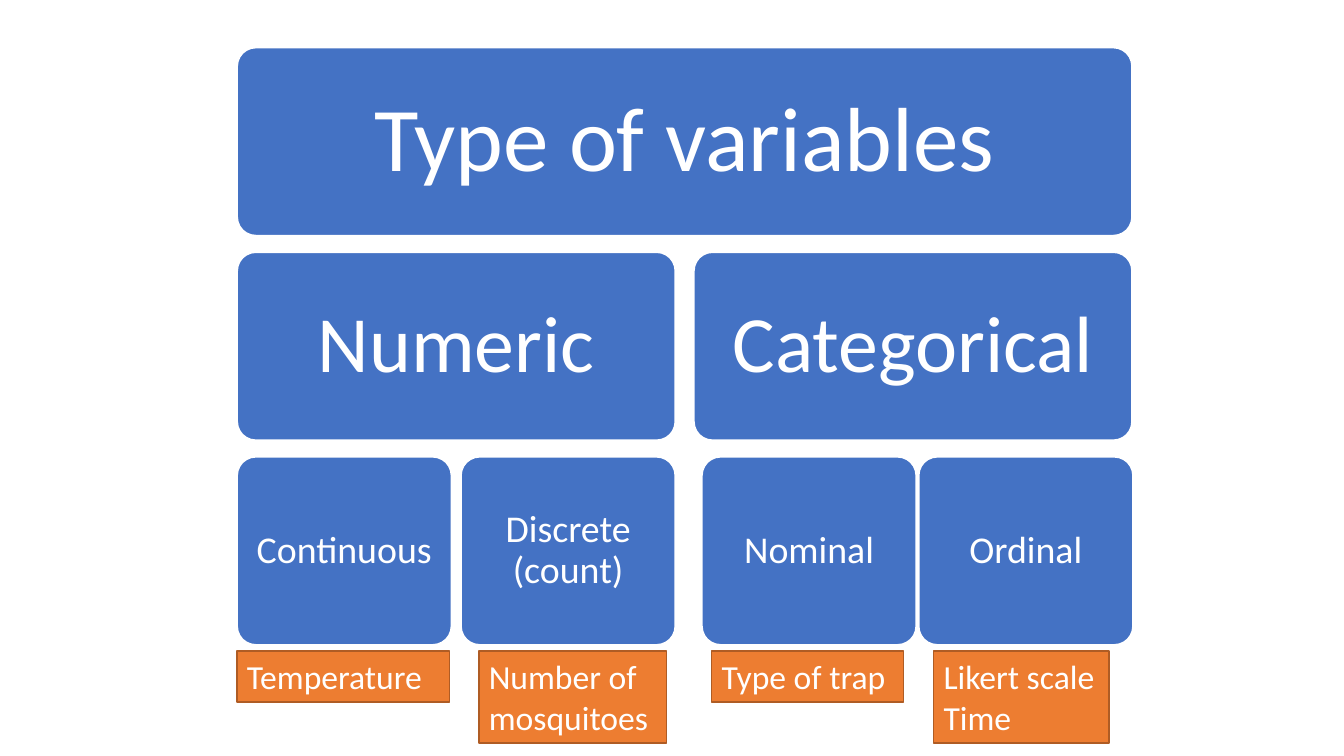
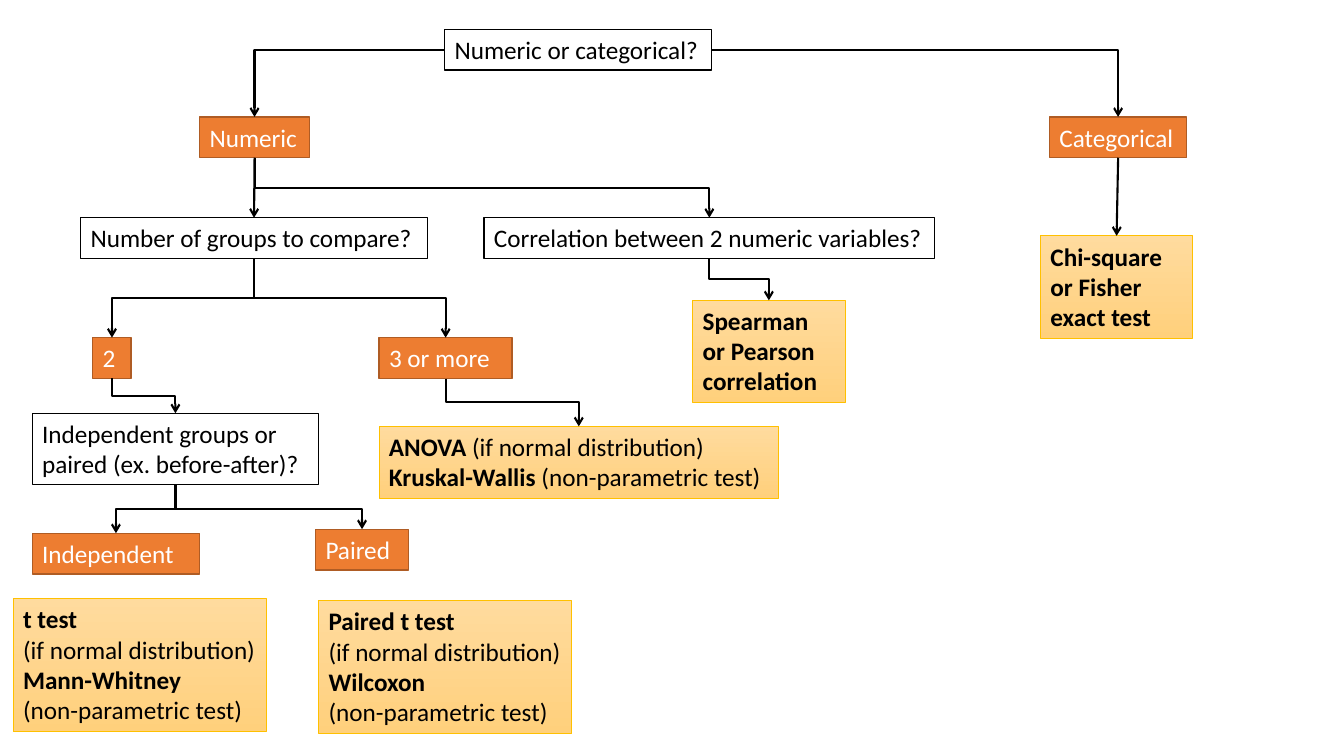
from dataclasses import dataclass

from lxml import etree
from pptx import Presentation
from pptx.dml.color import RGBColor
from pptx.enum.shapes import MSO_CONNECTOR as Link, MSO_SHAPE as Preset
from pptx.enum.text import MSO_ANCHOR as Anchor, MSO_AUTO_SIZE as AutoSize, PP_ALIGN as Align
from pptx.oxml.ns import qn
from pptx.util import Inches, Pt


@dataclass(frozen=True)
class Theme:
    font: str = "Calibri"
    white: RGBColor = RGBColor(0xFF, 0xFF, 0xFF)
    black: RGBColor = RGBColor(0x00, 0x00, 0x00)
    blue: RGBColor = RGBColor(0x44, 0x72, 0xC4)
    orange: RGBColor = RGBColor(0xED, 0x7D, 0x31)
    rust: RGBColor = RGBColor(0xAF, 0x5C, 0x24)
    gold: RGBColor = RGBColor(0xFF, 0xC0, 0x00)
    cream: RGBColor = RGBColor(0xFF, 0xDB, 0x9E)
    amber: RGBColor = RGBColor(0xFF, 0xD0, 0x7C)
    example_size: int = 24
    step_size: int = 18
    level_sizes: tuple = (65, 57, 27)


theme = Theme()
styles = {
    "question": ([theme.white], theme.black, 1, theme.black, False),
    "answer": ([theme.orange], theme.rust, 1, theme.white, False),
    "test": ([theme.cream, theme.amber], theme.gold, 0.5, theme.black, True),
}


def add_label(page, style, left, top, width, line_count, text, size):
    fills, outline, weight, ink, strong = styles[style]
    height = 0.1 + line_count * size * 1.22 / 72
    box = page.shapes.add_shape(
        Preset.RECTANGLE, Inches(left), Inches(top), Inches(width), Inches(height))
    box.shadow.inherit = False
    if len(fills) == 1:
        box.fill.solid()
        box.fill.fore_color.rgb = fills[0]
    else:
        box.fill.gradient()
        box.fill.gradient_angle = 270
        for stop, colour in zip(box.fill.gradient_stops, fills):
            stop.color.rgb = colour
    box.line.color.rgb = outline
    box.line.width = Pt(weight)
    frame = box.text_frame
    frame.word_wrap = True
    frame.auto_size = AutoSize.SHAPE_TO_FIT_TEXT
    frame.vertical_anchor = Anchor.TOP
    frame.text = text
    for para in frame.paragraphs:
        para.alignment = Align.LEFT
        name, bracket, note = para.text.partition("(")
        para.clear()
        for piece, bold in ((name, strong), (bracket + note, False)):
            if piece:
                span = para.add_run()
                span.text = piece
                span.font.name = theme.font
                span.font.size = Pt(size)
                span.font.bold = bold
                span.font.color.rgb = ink
    return box


def add_arrow(page, start, end, kind, bend):
    shape_type = Link.STRAIGHT if kind == "straight" else Link.ELBOW
    arrow = page.shapes.add_connector(shape_type, 0, 0, 0, 0)
    side = 2
    if kind == "corner":
        side = 1 if end.left < start.left else 3
    arrow.begin_connect(start, side)
    arrow.end_connect(end, 0)
    arrow.line.color.rgb = theme.black
    arrow.line.width = Pt(1.5)
    properties = arrow._element.spPr
    geometry = properties.find(qn("a:prstGeom"))
    if kind == "corner":
        geometry.set("prst", "bentConnector2")
    if kind == "step":
        across = arrow.end_x - arrow.begin_x
        down = arrow.end_y - arrow.begin_y
        middle_x = (arrow.begin_x + arrow.end_x) // 2
        middle_y = (arrow.begin_y + arrow.end_y) // 2
        arrow.width, arrow.height = down, abs(across)
        arrow.left = middle_x - down // 2
        arrow.top = middle_y - abs(across) // 2
        frame = properties.find(qn("a:xfrm"))
        frame.set("rot", "5400000" if across < 0 else "16200000")
        frame.set("flipH", "0" if across < 0 else "1")
        guide = etree.SubElement(geometry.find(qn("a:avLst")), qn("a:gd"))
        guide.set("name", "adj1")
        guide.set("fmla", f"val {round(bend * 100000)}")
    tip = etree.SubElement(properties.find(qn("a:ln")), qn("a:tailEnd"))
    tip.set("type", "arrow")
    etree.SubElement(properties, qn("a:effectLst"))


deck = Presentation()
deck.slide_width = Inches(13.33)
deck.slide_height = Inches(7.5)
blank = deck.slide_layouts[6]

variables_page = deck.slides.add_slide(blank)
level_widths = (8.88, 4.35, 2.13)
level_insets = (0.27, 0.24, 0.11)
variable_boxes = [
    (0, 2.35, "Type of variables"),
    (1, 2.35, "Numeric"),
    (1, 6.88, "Categorical"),
    (2, 2.35, "Continuous"),
    (2, 4.57, "Discrete (count)"),
    (2, 6.96, "Nominal"),
    (2, 9.11, "Ordinal"),
]
for level, left, text in variable_boxes:
    box = variables_page.shapes.add_shape(
        Preset.ROUNDED_RECTANGLE, Inches(left), Inches(0.47 + 2.03 * level),
        Inches(level_widths[level]), Inches(1.87))
    box.adjustments[0] = 0.1
    box.shadow.inherit = False
    box.fill.solid()
    box.fill.fore_color.rgb = theme.blue
    box.line.color.rgb = theme.white
    box.line.width = Pt(1.5)
    frame = box.text_frame
    frame.word_wrap = True
    frame.vertical_anchor = Anchor.MIDDLE
    inset = Inches(level_insets[level])
    frame.margin_left = frame.margin_right = inset
    frame.margin_top = frame.margin_bottom = inset
    frame.text = text
    para = frame.paragraphs[0]
    para.alignment = Align.CENTER
    para.line_spacing = 0.9
    span = para.runs[0]
    span.font.name = theme.font
    span.font.size = Pt(theme.level_sizes[level])
    span.font.color.rgb = theme.white

examples = [
    (2.35, 2.11, 1, "Temperature"),
    (4.75, 1.86, 2, "Number of mosquitoes"),
    (7.06, 1.9, 1, "Type of trap"),
    (9.26, 1.74, 2, "Likert scale\nTime"),
]
for left, width, line_count, text in examples:
    add_label(variables_page, "answer", left, 6.46, width, line_count, text, theme.example_size)

tests_page = deck.slides.add_slide(blank)
steps = {
    "kind": ("question", 4.41, 0.29, 2.65, 1, "Numeric or categorical?"),
    "numeric": ("answer", 1.98, 1.16, 1.09, 1, "Numeric"),
    "categorical": ("answer", 10.41, 1.16, 1.36, 1, "Categorical"),
    "groups": ("question", 0.8, 2.16, 3.44, 1, "Number of groups to compare?"),
    "correlation": ("question", 4.8, 2.16, 4.47, 1, "Correlation between 2 numeric variables?"),
    "two": ("answer", 0.92, 3.35, 0.38, 1, "2"),
    "three": ("answer", 3.76, 3.35, 1.32, 1, "3 or more"),
    "pairing": ("question", 0.32, 4.1, 2.84, 2, "Independent groups or paired (ex. before-after)?"),
    "independent": ("answer", 0.32, 5.29, 1.66, 1, "Independent"),
    "paired": ("answer", 3.13, 5.25, 0.92, 1, "Paired"),
    "chi square": ("test", 10.32, 2.34, 1.51, 3, "Chi-square or Fisher exact test"),
    "spearman": ("test", 6.87, 2.98, 1.51, 3, "Spearman or Pearson correlation"),
    "anova": ("test", 3.76, 4.23, 3.96, 2,
              "ANOVA (if normal distribution)\nKruskal-Wallis (non-parametric test)"),
    "t test": ("test", 0.13, 5.94, 2.51, 4,
               "t test\n(if normal distribution)\nMann-Whitney\n(non-parametric test)"),
    "paired t test": ("test", 3.16, 5.96, 2.51, 4,
                      "Paired t test\n(if normal distribution)\nWilcoxon\n(non-parametric test)"),
}
boxes = {name: add_label(tests_page, *step, theme.step_size) for name, step in steps.items()}

arrows = [
    ("kind", "numeric", "corner", 0.5),
    ("kind", "categorical", "corner", 0.5),
    ("numeric", "groups", "straight", 0.5),
    ("numeric", "correlation", "step", 0.5),
    ("groups", "two", "step", 0.5),
    ("groups", "three", "step", 0.5),
    ("two", "pairing", "step", 0.5),
    ("three", "anova", "step", 0.5),
    ("pairing", "independent", "step", 0.5),
    ("pairing", "paired", "step", 0.55),
    ("correlation", "spearman", "step", 0.5),
    ("categorical", "chi square", "straight", 0.5),
]
for start, end, kind, bend in arrows:
    add_arrow(tests_page, boxes[start], boxes[end], kind, bend)

deck.save("out.pptx")
